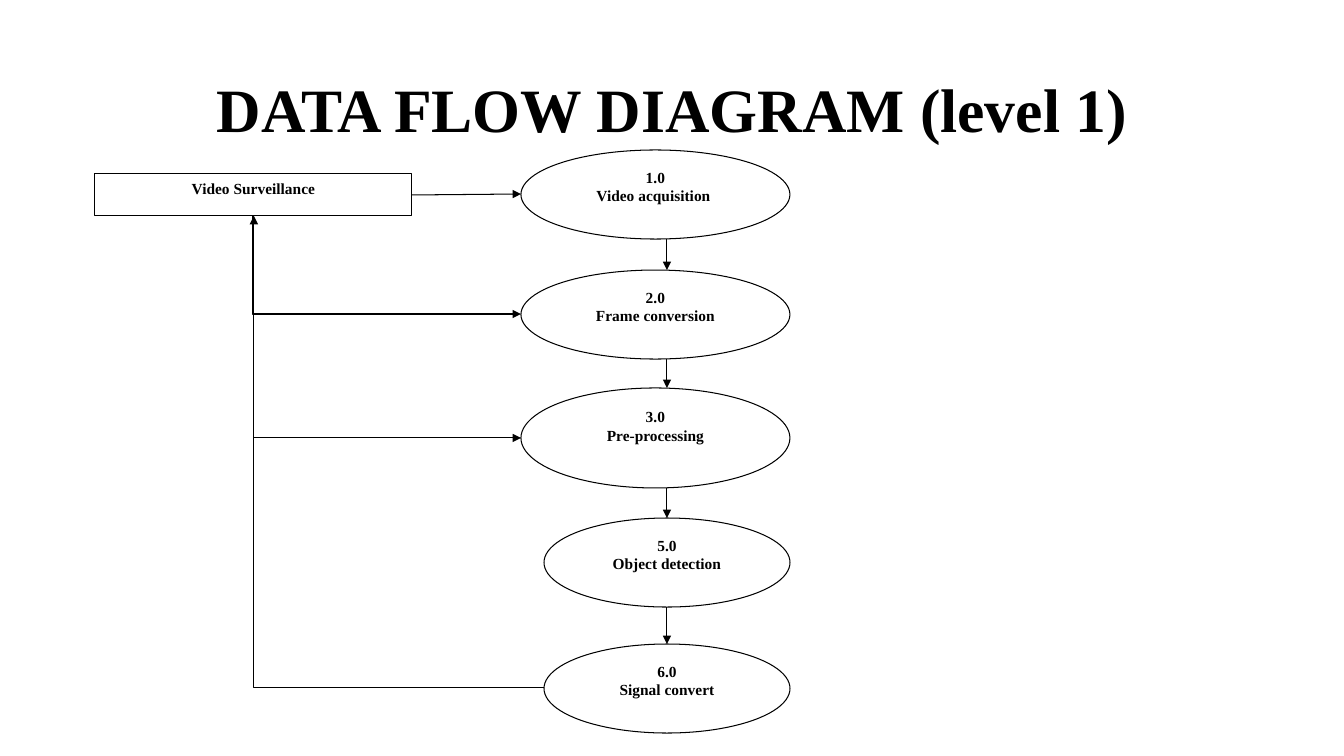
from lxml.etree import SubElement
from pptx import Presentation
from pptx.dml.color import RGBColor
from pptx.enum.shapes import MSO_CONNECTOR, MSO_SHAPE
from pptx.enum.text import MSO_ANCHOR, PP_ALIGN
from pptx.oxml.ns import qn
from pptx.util import Pt

# Content: lengths in px
TITLE = "DATA FLOW DIAGRAM (level 1)"
SOURCE = "Video Surveillance"
STEPS = [  # number, name, left, top, height
    ("1.0", "Video acquisition ", 521, 150, 89),
    ("2.0", "Frame conversion", 521, 270, 89),
    ("3.0", "Pre-processing", 521, 388, 100),
    ("5.0", "Object detection", 544, 518, 89),
    ("6.0", "Signal convert", 544, 644, 89),
]
RIGHT = 790  # shared right edge of the steps
FLOW = 667  # x of the downward arrows
BOX = (95, 174, 317, 42)
COLORS = {"ink": "000000", "paper": "FFFFFF"}
FONT = "Times New Roman"
SCALE = 914400 / 100.8


def px(n):
    return round(n * SCALE)


def color(name):
    return RGBColor.from_string(COLORS[name])


def style(para, size):
    para.alignment = PP_ALIGN.CENTER
    font = para.font
    font.name, font.size, font.bold = FONT, Pt(size), True
    font.color.rgb = color("ink")


def node(kind, spot, lines):
    shape = slide.shapes.add_shape(kind, *map(px, spot))
    shape.shadow.inherit = False
    shape.fill.solid()
    shape.fill.fore_color.rgb = color("paper")
    shape.line.color.rgb = color("ink")
    shape.line.width = Pt(0.75)
    frame = shape.text_frame
    frame.word_wrap = True
    frame.vertical_anchor = MSO_ANCHOR.TOP
    frame.text = "\n".join(lines)
    for para in frame.paragraphs:
        style(para, 11)


def arrow(start, end, bend=None, adjust=None):
    kind = MSO_CONNECTOR.ELBOW if bend else MSO_CONNECTOR.STRAIGHT
    line = slide.shapes.add_connector(kind, *map(px, start + end))
    line.line.color.rgb = color("ink")
    line.line.width = Pt(0.75)
    props = line._element.spPr
    SubElement(line.line._get_or_add_ln(), qn("a:tailEnd"), type="triangle")
    SubElement(props, qn("a:effectLst"))
    if bend:
        shape = props.find(qn("a:prstGeom"))
        shape.set("prst", bend)
        if adjust is not None:
            guides = shape.find(qn("a:avLst"))
            if guides is None:
                guides = SubElement(shape, qn("a:avLst"))
            SubElement(guides, qn("a:gd"), name="adj1", fmla=f"val {adjust}")


deck = Presentation()
deck.slide_width, deck.slide_height = px(1344), px(756)
slide = deck.slides.add_slide(deck.slide_layouts[5])

# Title
title = slide.shapes.title
title.left, title.top, title.width, title.height = map(px, (93, 40, 1159, 146))
title.text_frame.text = TITLE
title.text_frame.vertical_anchor = MSO_ANCHOR.MIDDLE
head = title.text_frame.paragraphs[0]
head.line_spacing = 0.9
style(head, 44)

# Source box and process steps
node(MSO_SHAPE.RECTANGLE, BOX, [SOURCE])
for number, name, left, top, high in STEPS:
    node(MSO_SHAPE.OVAL, (left, top, RIGHT - left, high), [number, name])

# Downward arrows between steps
for above, below in zip(STEPS, STEPS[1:]):
    arrow((FLOW, above[3] + above[4]), (FLOW, below[3]))

# Arrows from the source box, and the one back to it
ports = [(left, top + high // 2) for _, _, left, top, high in STEPS]
x, y, wide, high = BOX
foot = (x + wide // 2 + 1, y + high)
arrow((x + wide, y + high // 2), ports[0])
arrow(foot, ports[1], "bentConnector3", -700)
arrow(foot, ports[2], "bentConnector3", 0)
arrow(ports[4], foot, "bentConnector2")

deck.save("out.pptx")
